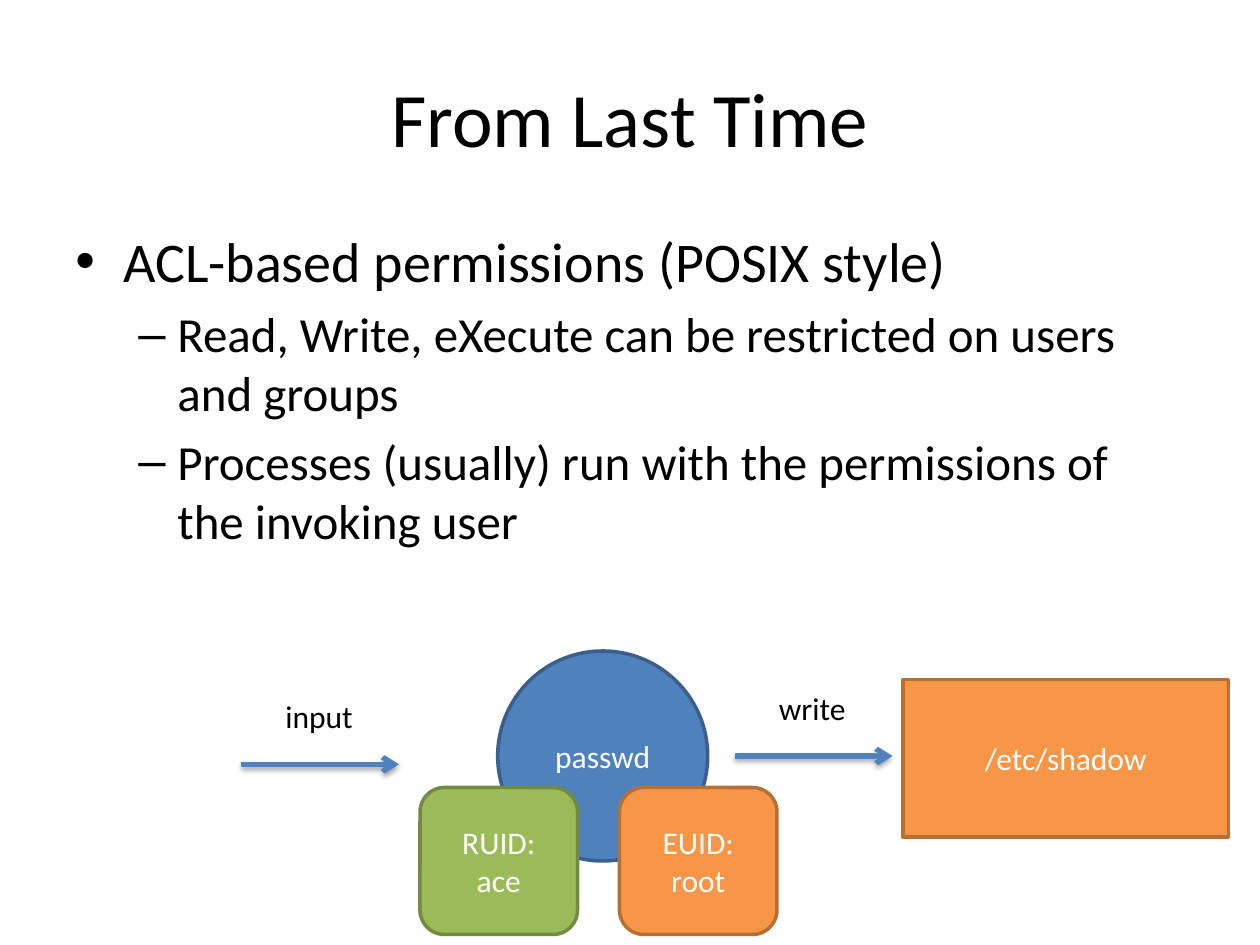
from lxml.etree import SubElement
from pptx import Presentation
from pptx.dml.color import RGBColor
from pptx.enum.shapes import MSO_CONNECTOR as Link, MSO_SHAPE as Shape
from pptx.enum.text import MSO_ANCHOR as Anchor, PP_ALIGN as Align
from pptx.oxml.ns import qn
from pptx.util import Inches, Pt

BLACK = RGBColor(0x00, 0x00, 0x00)
WHITE = RGBColor(0xFF, 0xFF, 0xFF)
BLUE = RGBColor(0x4F, 0x81, 0xBD)
BLUE_EDGE = RGBColor(0x3A, 0x5F, 0x8C)
GREEN = RGBColor(0x9B, 0xBB, 0x59)
GREEN_EDGE = RGBColor(0x73, 0x8A, 0x42)
ORANGE = RGBColor(0xF7, 0x96, 0x46)
ORANGE_EDGE = RGBColor(0xB7, 0x6F, 0x34)

WIDTH, HEIGHT = Inches(10), Inches(7.5)
COLUMNS, ROWS = 120, 90
ARROW_LENGTH = 15


def across(columns):
    return round(WIDTH * columns / COLUMNS)


def down(rows):
    return round(HEIGHT * rows / ROWS)


def area(column, row, columns, rows):
    return across(column), down(row), across(columns), down(rows)


def write(paragraph, text, size=18, color=BLACK, align=Align.LEFT):
    paragraph.alignment = align
    run = paragraph.add_run()
    run.text = text
    run.font.name = "Calibri"
    run.font.size = Pt(size)
    run.font.color.rgb = color


def add_bullet(paragraph, mark, indent, hanging):
    properties = paragraph._p.get_or_add_pPr()
    properties.set("marL", str(Inches(indent)))
    properties.set("indent", str(-Inches(hanging)))
    SubElement(properties, qn("a:buFont"), typeface="Arial")
    SubElement(properties, qn("a:buChar"), char=mark)


def add_label(slide, text, place, wrap=False, anchor=Anchor.TOP, **style):
    frame = slide.shapes.add_textbox(*area(*place)).text_frame
    frame.word_wrap = wrap
    frame.vertical_anchor = anchor
    write(frame.paragraphs[0], text, **style)


def add_outline(slide, points, place):
    frame = slide.shapes.add_textbox(*area(*place)).text_frame
    frame.word_wrap = True
    for number, (level, text) in enumerate(points):
        if number:
            paragraph = frame.add_paragraph()
            paragraph.space_before = Pt(5.6)
        else:
            paragraph = frame.paragraphs[0]
        paragraph.level = level
        mark, indent, hanging, size = (("•", 0.38, 0.38, 32), ("–", 0.81, 0.31, 28))[level]
        add_bullet(paragraph, mark, indent, hanging)
        write(paragraph, text, size=size)


def add_node(slide, outline, lines, place, fill, edge):
    node = slide.shapes.add_shape(outline, *area(*place))
    node.shadow.inherit = False
    node.fill.solid()
    node.fill.fore_color.rgb = fill
    node.line.color.rgb = edge
    node.line.width = Pt(2)
    frame = node.text_frame
    frame.word_wrap = True
    frame.vertical_anchor = Anchor.MIDDLE
    for number, text in enumerate(lines):
        paragraph = frame.add_paragraph() if number else frame.paragraphs[0]
        write(paragraph, text, color=WHITE, align=Align.CENTER)


def add_arrow(slide, column, row):
    arrow = slide.shapes.add_connector(
        Link.STRAIGHT, across(column), down(row), across(column + ARROW_LENGTH), down(row))
    arrow.line.color.rgb = BLUE
    arrow.line.width = Pt(3)
    SubElement(arrow.line._get_or_add_ln(), qn("a:tailEnd"), type="arrow")
    effects = SubElement(arrow._element.spPr, qn("a:effectLst"))
    shadow = SubElement(effects, qn("a:outerShdw"), blurRad=str(Pt(3.1)),
                        dist=str(Pt(1.8)), dir="5400000", rotWithShape="0")
    tint = SubElement(shadow, qn("a:srgbClr"), val=str(BLACK))
    SubElement(tint, qn("a:alpha"), val="35000")


def add_flow(slide, text, column, row):
    add_arrow(slide, column, row)
    add_label(slide, text, (column + 3, row - 7, 9, 4.8))


def main():
    deck = Presentation()
    deck.slide_width, deck.slide_height = WIDTH, HEIGHT
    slide = deck.slides.add_slide(deck.slide_layouts[6])

    add_label(slide, "From Last Time", (6, 3.6, 108, 15), wrap=True,
              anchor=Anchor.MIDDLE, size=44, align=Align.CENTER)
    add_outline(slide, [
        (0, "ACL-based permissions (POSIX style)"),
        (1, "Read, Write, eXecute can be restricted on users and groups"),
        (1, "Processes (usually) run with the permissions of the invoking user"),
    ], (6, 21, 108, 59.4))

    add_node(slide, Shape.OVAL, ["passwd"], (47.4, 62, 20, 20), BLUE, BLUE_EDGE)
    add_node(slide, Shape.RECTANGLE, ["/etc/shadow"], (86, 64.7, 31, 15), ORANGE, ORANGE_EDGE)
    identities = [("RUID:", "ace", GREEN, GREEN_EDGE), ("EUID:", "root", ORANGE, ORANGE_EDGE)]
    for number, (kind, user, fill, edge) in enumerate(identities):
        add_node(slide, Shape.ROUNDED_RECTANGLE, [kind, user],
                 (40 + 19 * number, 75, 15, 14), fill, edge)

    add_flow(slide, "write", 70, 72)
    add_flow(slide, "input", 23, 72.8)
    deck.save("out.pptx")


if __name__ == "__main__":
    main()
